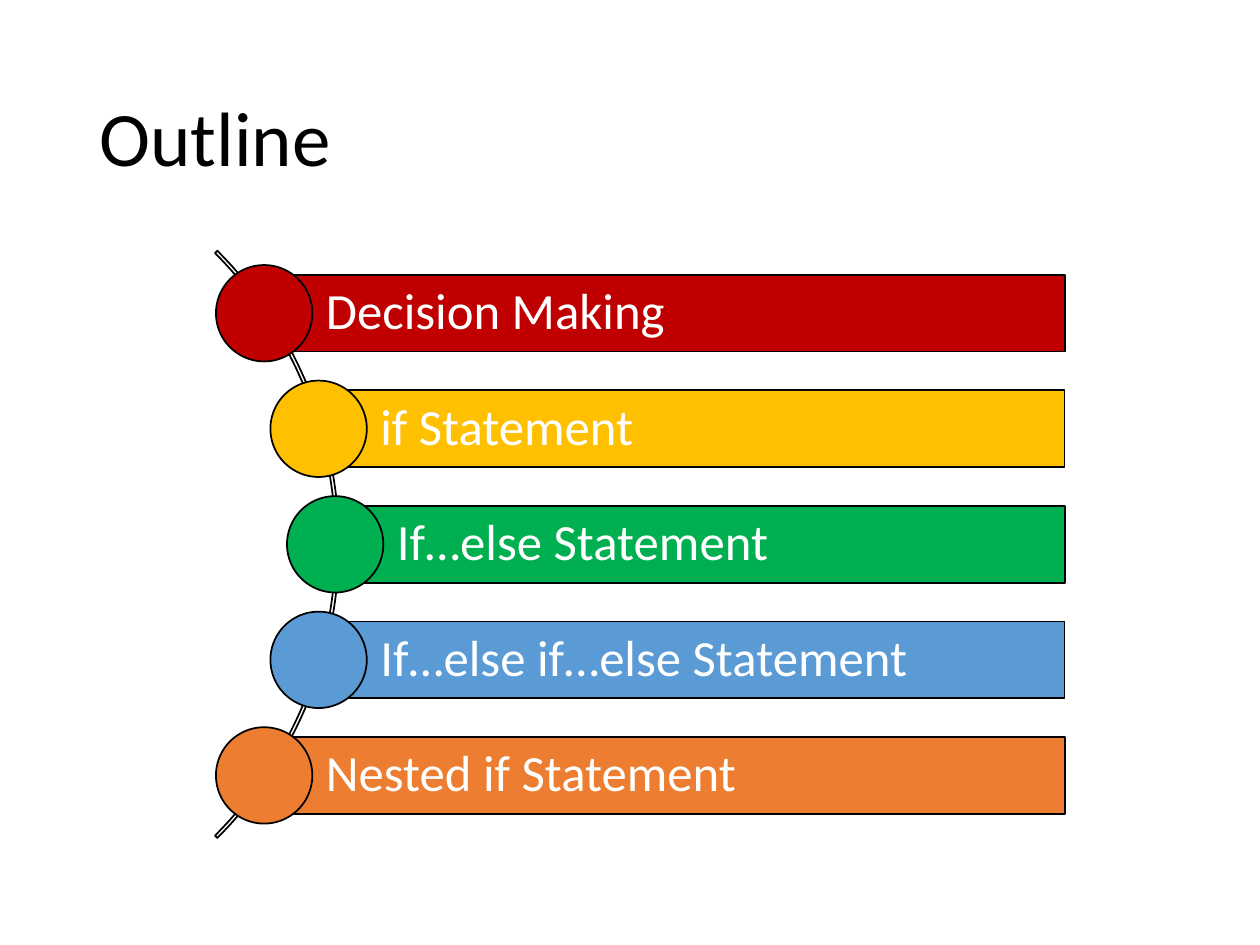
from math import sqrt

from pptx import Presentation
from pptx.dml.color import RGBColor
from pptx.enum.shapes import MSO_SHAPE
from pptx.enum.text import MSO_ANCHOR, PP_ALIGN
from pptx.util import Inches, Pt

COLORS = {
    "black": "000000",
    "white": "FFFFFF",
    "red": "C00000",
    "yellow": "FFC000",
    "green": "00B050",
    "blue": "5B9BD5",
    "orange": "ED7D31",
}
TOPICS = [
    ("Decision Making", "red"),
    ("if Statement", "yellow"),
    ("If…else Statement", "green"),
    ("If…else if…else Statement", "blue"),
    ("Nested if Statement", "orange"),
]

presentation = Presentation()
presentation.slide_width = Inches(10)
presentation.slide_height = Inches(7.5)
slide = presentation.slides.add_slide(presentation.slide_layouts[6])

# Grid of 100 columns by 75 rows with square cells
CELL = presentation.slide_width / 100


def write_text(shape, text, size, color, insets, space_after=0):
    frame = shape.text_frame
    frame.word_wrap = True
    frame.vertical_anchor = MSO_ANCHOR.MIDDLE
    frame.margin_left, frame.margin_top, frame.margin_right, frame.margin_bottom = (
        round(inset * CELL) for inset in insets
    )
    paragraph = frame.paragraphs[0]
    paragraph.alignment = PP_ALIGN.LEFT
    paragraph.line_spacing = 0.9
    paragraph.space_after = Pt(space_after)
    run = paragraph.add_run()
    run.text = text
    run.font.name = "Calibri"
    run.font.size = Pt(size)
    run.font.color.rgb = RGBColor.from_string(COLORS[color])


def add_outlined(kind, left, top, width, height, fill=None):
    shape = slide.shapes.add_shape(
        kind, *(round(length * CELL) for length in (left, top, width, height))
    )
    shape.shadow.inherit = False
    if fill:
        shape.fill.solid()
        shape.fill.fore_color.rgb = RGBColor.from_string(COLORS[fill])
    else:
        shape.fill.background()
    shape.line.color.rgb = RGBColor.from_string(COLORS["black"])
    shape.line.width = Pt(1)
    return shape


# Title
title = slide.shapes.add_textbox(
    *(round(length * CELL) for length in (6.9, 4, 86.2, 14.5))
)
write_text(title, "Outline", size=44, color="black", insets=(1, 0.5, 1, 0.5))

# Thin arc, from 315 to 45 degrees, that carries the circles
ARC_SIZE = 65.9
CENTER_X, CENTER_Y = -6.05, 43.2
arc = add_outlined(
    MSO_SHAPE.BLOCK_ARC,
    CENTER_X - ARC_SIZE / 2, CENTER_Y - ARC_SIZE / 2, ARC_SIZE, ARC_SIZE,
)
for index, value in enumerate((189, 27, 0.004)):
    arc.adjustments[index] = value

# Topic bars, each starting at the centre of its circle on the arc
RADIUS = 32.65
ROW_STEP = 9.17
BAR_RIGHT, BAR_HEIGHT = 84.5, 6.1
CIRCLE_SIZE = 7.65
for row, (topic, color) in enumerate(TOPICS):
    offset = (row - len(TOPICS) // 2) * ROW_STEP
    x = CENTER_X + sqrt(RADIUS**2 - offset**2)
    y = CENTER_Y + offset
    bar = add_outlined(
        MSO_SHAPE.RECTANGLE,
        x, y - BAR_HEIGHT / 2, BAR_RIGHT - x, BAR_HEIGHT, fill=color,
    )
    write_text(
        bar, topic, size=29, color="white",
        insets=(4.9, 0.8, 0.8, 0.8), space_after=10,
    )
    add_outlined(
        MSO_SHAPE.OVAL,
        x - CIRCLE_SIZE / 2, y - CIRCLE_SIZE / 2, CIRCLE_SIZE, CIRCLE_SIZE, fill=color,
    )

presentation.save("out.pptx")
